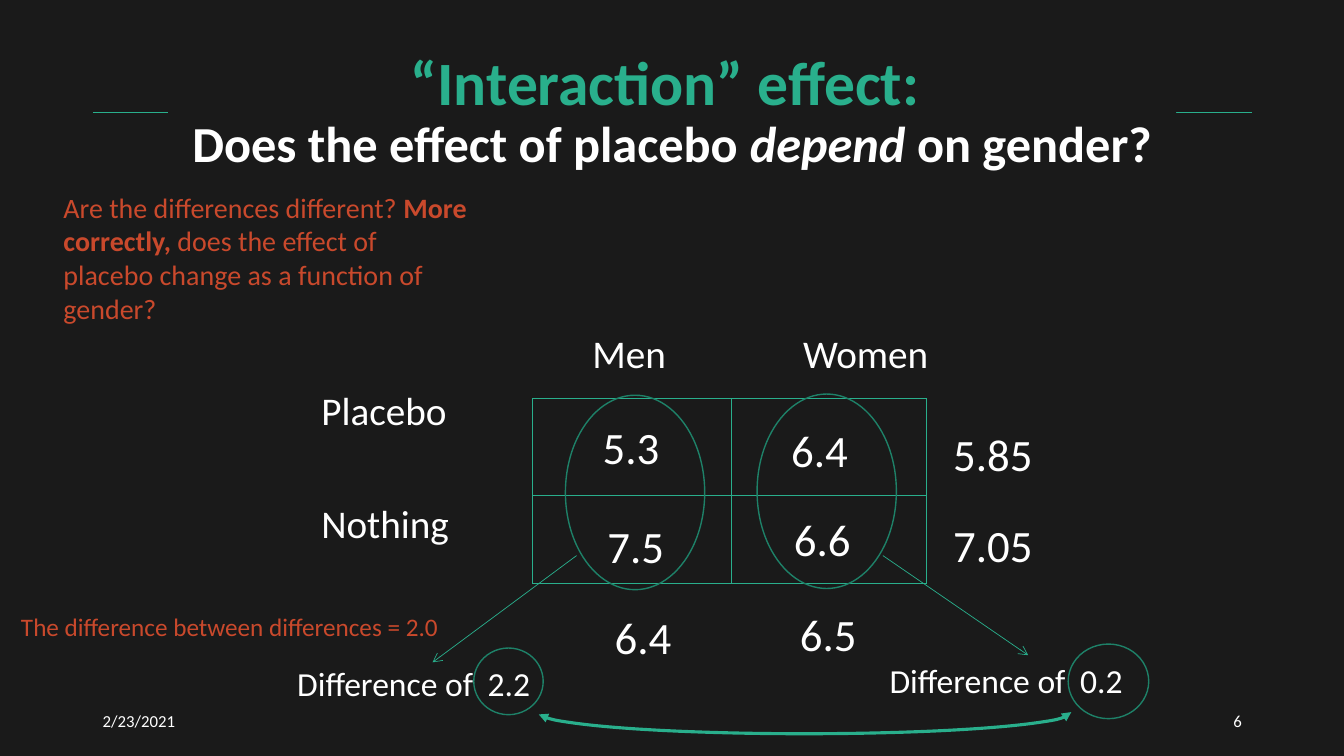
from dataclasses import dataclass

from lxml import etree
from pptx import Presentation, util as u
from pptx.dml.color import RGBColor
from pptx.enum import shapes, text
from pptx.oxml import ns

# ---- Content: text, left, top, width (cm) ----
TITLE = [("“Interaction” effect: ", "heading", "b"), "\v",
         ("Does the effect of placebo ", "subheading", "b"),
         ("depend", "subheading", "bi"), (" on gender?", "subheading", "b")]
QUESTION = [("Are the differences different? ", "question", ""),
            ("More correctly, ", "question", "b"),
            ("does the effect of placebo change as a function of gender?", "question", "")]
CELL_MEANS = [("5.3", 14.94, 10.46, 2.29), ("7.5", 15.06, 12.95, 2.29),
              ("6.4", 19.69, 10.52, 2.29), ("6.6", 19.76, 12.78, 2.29)]
MARGINAL_MEANS = [("6.4", 15.24, 15.24, 2.29), ("6.5", 19.91, 15.16, 2.84),
                  ("7.05", 23.77, 12.93, 2.77), ("5.85", 23.77, 10.64, 2.77)]
GROUP_LABELS = [("Men", 14.68, 8.18, 4), ("Women", 19.99, 8.18, 4),
                ("Placebo", 7.85, 9.6, 5), ("Nothing", 7.85, 12.45, 5)]
DIFFERENCES = [("Difference of\t2.2", 7.24, 16.59, 6.99),
               ("Difference of\t0.2", 22.17, 16.51, 7.47)]
CONCLUSION = ("The difference between differences = 2.0", 0.28, 15.27, 11.46)
DATE, PAGE = "2/23/2021", "6"

# ---- Geometry (cm) ----
GRID_X = (13.41, 18.44, 23.34)
GRID_Y = (10.03, 12.48, 14.71)
COLUMN_RINGS = [(14.25, 9.96, 3.51, 4.9), (19.08, 9.93, 3.51, 4.9)]
DIFFERENCE_RINGS = [(11.94, 16.33, 1.75, 1.68), (26.92, 16.23, 2.03, 1.88)]
DIFFERENCE_ARROWS = [(14.53, 14, 10.9, 16.69), (22.25, 14, 25.91, 16.51)]
COMPARISON_ARC = (13.54, 17.4, 13.46, 1.09)
VALUE_TAB = 4.8


@dataclass(frozen=True)
class Theme:
    font: str = "Calibri"
    back: str = "1A1A1A"
    accent: str = "29AF8C"
    ring: str = "1E8168"
    white: str = "FFFFFF"
    warm: str = "C9492C"


theme = Theme()
STYLES = {  # type size, colour
    "heading": (44, theme.accent), "subheading": (36, theme.white),
    "mean": (32, theme.white), "label": (28, theme.white),
    "difference": (24, theme.white), "question": (20, theme.warm),
    "conclusion": (18, theme.warm), "footer": (12, theme.white),
}


def rgb(code):
    return RGBColor.from_string(code)


def cm(*lengths):
    return [u.Cm(length) for length in lengths]


def write(frame, runs, style="label", align=text.PP_ALIGN.LEFT,
          anchor=text.MSO_ANCHOR.TOP, spacing=None, tab=None):
    frame.word_wrap = True
    frame.auto_size = text.MSO_AUTO_SIZE.NONE
    frame.vertical_anchor = anchor
    paragraph = frame.paragraphs[0]
    if tab:
        stops = etree.SubElement(paragraph._p.get_or_add_pPr(), ns.qn("a:tabLst"))
        etree.SubElement(stops, ns.qn("a:tab"), pos=str(u.Cm(tab)), algn="l")
    paragraph.alignment = align
    if spacing:
        paragraph.line_spacing = spacing
    for part in [(runs, style, "")] if isinstance(runs, str) else runs:
        if part == "\v":
            paragraph.add_line_break()
            continue
        words, kind, emphasis = part
        run = paragraph.add_run()
        run.text = words
        size, colour = STYLES[kind]
        run.font.name, run.font.size = theme.font, u.Pt(size)
        run.font.bold, run.font.italic = "b" in emphasis, "i" in emphasis
        run.font.color.rgb = rgb(colour)


def add_text(runs, left, top, width, height=1.63, **look):
    box = slide.shapes.add_textbox(*cm(left, top, width, height))
    write(box.text_frame, runs, **look)


def style_line(line, colour, weight, head=None, tail=None):
    line.color.rgb = rgb(colour)
    line.width = u.Pt(weight)
    for tag, kind in (("a:headEnd", head), ("a:tailEnd", tail)):
        if kind:
            etree.SubElement(line._get_or_add_ln(), ns.qn(tag), type=kind)


def add_line(x1, y1, x2, y2, tail=None):
    connector = slide.shapes.add_connector(shapes.MSO_CONNECTOR.STRAIGHT, *cm(x1, y1, x2, y2))
    style_line(connector.line, theme.accent, 0.5, tail=tail)
    etree.SubElement(connector._element.spPr, ns.qn("a:effectLst"))


def add_outline(kind, place, colour, weight, **ends):
    outline = slide.shapes.add_shape(kind, *cm(*place))
    outline.shadow.inherit = False
    outline.fill.background()
    style_line(outline.line, colour, weight, **ends)
    return outline


prs = Presentation()
prs.slide_width, prs.slide_height = cm(33.87, 19.05)
slide = prs.slides.add_slide(prs.slide_layouts[5])
slide.background.fill.solid()
slide.background.fill.fore_color.rgb = rgb(theme.back)

# Header rule, with the filled title in front of it
add_line(2.34, 2.82, 31.55, 2.82)
title = slide.shapes.title
title.left, title.top, title.width, title.height = cm(4.24, 0.97, 25.4, 3.76)
title.fill.solid()
title.fill.fore_color.rgb = rgb(theme.back)
write(title.text_frame, TITLE, align=text.PP_ALIGN.CENTER,
      anchor=text.MSO_ANCHOR.MIDDLE, spacing=0.9)
slide.shapes._spTree.append(title._element)

# Two-by-two grid
for x in GRID_X:
    add_line(x, GRID_Y[0], x, GRID_Y[-1])
for y in GRID_Y:
    add_line(GRID_X[0], y, GRID_X[-1], y)

# Means and group labels
for mean in CELL_MEANS + MARGINAL_MEANS:
    add_text(*mean, style="mean")
for label in GROUP_LABELS:
    add_text(*label, style="label")

# Differences: rings, arrows and the arc that compares them
for ring in COLUMN_RINGS + DIFFERENCE_RINGS:
    add_outline(shapes.MSO_SHAPE.OVAL, ring, theme.ring, 1)
for arrow in DIFFERENCE_ARROWS:
    add_line(*arrow, tail="arrow")
for difference in DIFFERENCES:
    add_text(*difference, height=1.27, style="difference", tab=VALUE_TAB)
arc = add_outline(shapes.MSO_SHAPE.ARC, COMPARISON_ARC, theme.accent, 2.25,
                  head="triangle", tail="triangle")
arc.adjustments[0], arc.adjustments[1] = 108.3, 0
arc._element.spPr.xfrm.set("flipV", "1")

# Question and conclusion
add_text(QUESTION, 1.35, 4.67, 10.69, 3.68)
add_text(*CONCLUSION, height=1.02, style="conclusion")

# Footer
for words, left, align in ((DATE, 2.34, text.PP_ALIGN.LEFT), (PAGE, 23.93, text.PP_ALIGN.RIGHT)):
    add_text(words, left, 17.65, 7.62, 1.02, style="footer", align=align,
             anchor=text.MSO_ANCHOR.MIDDLE)

prs.save("out.pptx")
